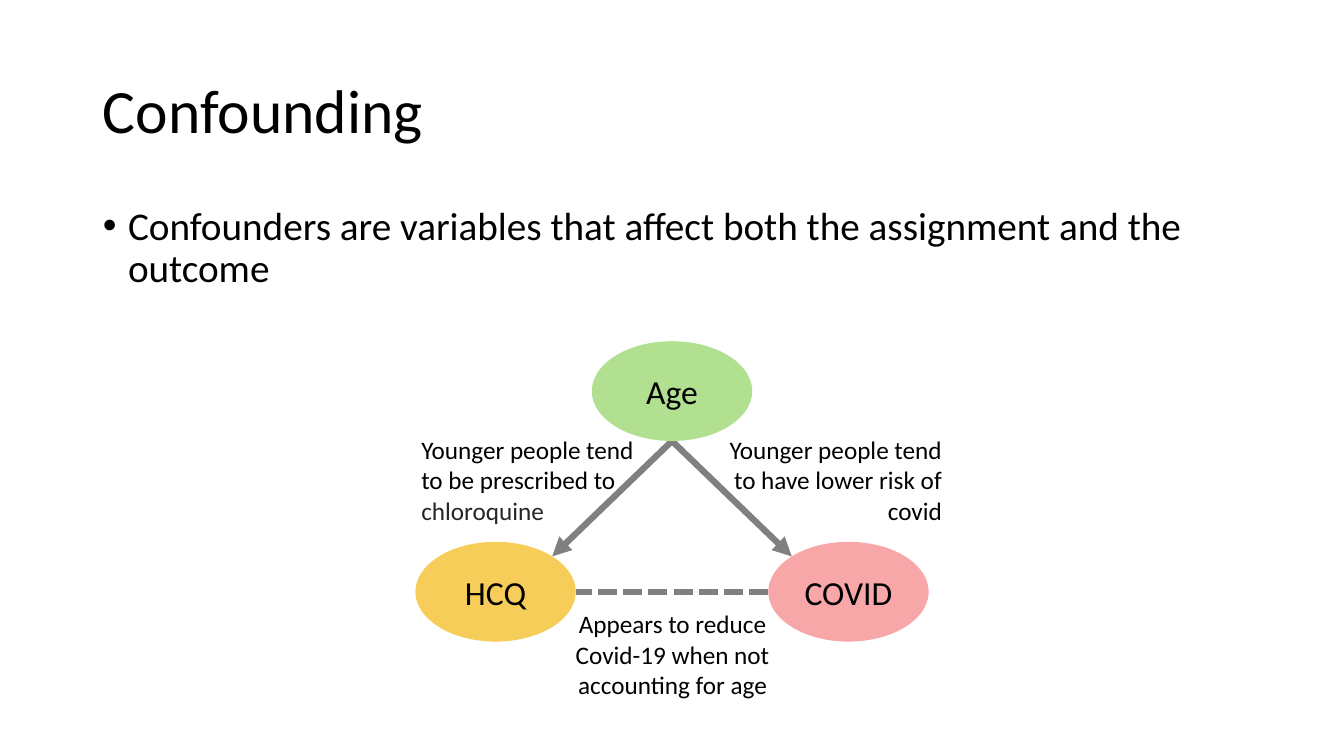
import math

import pptx
import pptx.dml.color
import pptx.enum.dml
import pptx.enum.shapes
import pptx.enum.text
import pptx.oxml
import pptx.oxml.ns
import pptx.util

Inches = pptx.util.Inches
Pt = pptx.util.Pt
ALIGN = pptx.enum.text.PP_ALIGN
ANCHOR = pptx.enum.text.MSO_ANCHOR
FONT = "Calibri"
BLACK = "000000"
GREY = "808080"
SLIDE_W, SLIDE_H = 13.33, 7.5
MARGIN = 0.92
NODE_W, NODE_H = 1.59, 0.99
CENTRE = SLIDE_W / 2
NODE_STEP = 1.75
AGE = (CENTRE, 3.88)
HCQ = (CENTRE - NODE_STEP, 5.87)
COVID = (CENTRE + NODE_STEP, 5.87)


def rgb(value):
    return pptx.dml.color.RGBColor.from_string(value)


def add_run(p, text, size, color=BLACK):
    r = p.add_run()
    r.text = text
    r.font.name = FONT
    r.font.size = Pt(size)
    r.font.color.rgb = rgb(color)


def fill_placeholder(sp, top, height, text, size, anchor):
    sp.left, sp.top = Inches(MARGIN), Inches(top)
    sp.width, sp.height = Inches(SLIDE_W - 2 * MARGIN), Inches(height)
    tf = sp.text_frame
    tf.vertical_anchor = anchor
    p = tf.paragraphs[0]
    p.alignment = ALIGN.LEFT
    p.line_spacing = 0.9
    add_run(p, text, size)
    return p


def set_bullet(p):
    p.space_before = Pt(10)
    pPr = p._p.get_or_add_pPr()
    pPr.set("marL", str(Inches(0.25)))
    pPr.set("indent", str(Inches(-0.25)))
    ns = pptx.oxml.ns.nsdecls("a")
    pPr.append(pptx.oxml.parse_xml(f'<a:buFont {ns} typeface="Arial"/>'))
    pPr.append(pptx.oxml.parse_xml(f'<a:buChar {ns} char="•"/>'))


def add_node(s, centre, text, color):
    x, y = centre
    sp = s.shapes.add_shape(
        pptx.enum.shapes.MSO_SHAPE.OVAL, Inches(x - NODE_W / 2), Inches(y - NODE_H / 2),
        Inches(NODE_W), Inches(NODE_H))
    sp.shadow.inherit = False
    sp.fill.solid()
    sp.fill.fore_color.rgb = rgb(color)
    sp.line.fill.background()
    tf = sp.text_frame
    tf.vertical_anchor = ANCHOR.MIDDLE
    p = tf.paragraphs[0]
    p.alignment = ALIGN.CENTER
    add_run(p, text, 24)


def node_edge(centre, degrees):
    angle = math.radians(degrees)
    return (centre[0] + NODE_W / 2 * math.cos(angle),
            centre[1] - NODE_H / 2 * math.sin(angle))


def add_link(s, start, end, dotted=False):
    cxn = s.shapes.add_connector(
        pptx.enum.shapes.MSO_CONNECTOR.STRAIGHT, *[Inches(v) for v in start + end])
    cxn.line.color.rgb = rgb(GREY)
    cxn.line.width = Pt(4.5)
    ns = pptx.oxml.ns.nsdecls("a")
    if dotted:
        cxn.line.dash_style = pptx.enum.dml.MSO_LINE.SQUARE_DOT
    else:
        cxn.line._get_or_add_ln().append(
            pptx.oxml.parse_xml(f'<a:tailEnd {ns} type="triangle"/>'))
    cxn._element.spPr.append(pptx.oxml.parse_xml(f"<a:effectLst {ns}/>"))


def add_note(s, left, top, runs, align):
    sp = s.shapes.add_textbox(Inches(left), Inches(top), Inches(2.38), Inches(1.01))
    tf = sp.text_frame
    tf.word_wrap = True
    tf.auto_size = pptx.enum.text.MSO_AUTO_SIZE.SHAPE_TO_FIT_TEXT
    p = tf.paragraphs[0]
    p.alignment = align
    for text, color in runs:
        add_run(p, text, 18, color)


def main():
    prs = pptx.Presentation()
    prs.slide_width, prs.slide_height = Inches(SLIDE_W), Inches(SLIDE_H)
    s = prs.slides.add_slide(prs.slide_layouts[1])
    fill_placeholder(s.shapes.title, 0.4, 1.45, "Confounding", 44, ANCHOR.MIDDLE)
    set_bullet(fill_placeholder(
        s.placeholders[1], 2, 4.76,
        "Confounders are variables that affect both the assignment and the outcome",
        28, ANCHOR.TOP))

    add_node(s, HCQ, "HCQ", "F7CD59")
    add_node(s, COVID, "COVID", "F7A7A7")
    add_link(s, node_edge(AGE, 270), node_edge(HCQ, 45))
    add_link(s, node_edge(AGE, 270), node_edge(COVID, 135))
    add_link(s, node_edge(COVID, 180), node_edge(HCQ, 0), dotted=True)
    add_note(s, 4.08, 4.26, [("Younger people tend to be prescribed to ", BLACK),
                             ("chloroquine", "262626")], ALIGN.LEFT)
    add_note(s, 7.06, 4.26, [("Younger people tend to have lower risk of covid", BLACK)],
             ALIGN.RIGHT)
    add_note(s, 5.48, 5.99, [("Appears to reduce Covid-19 when not accounting for age", BLACK)],
             ALIGN.CENTER)
    add_node(s, AGE, "Age", "B0E090")
    prs.save("out.pptx")


if __name__ == "__main__":
    main()
